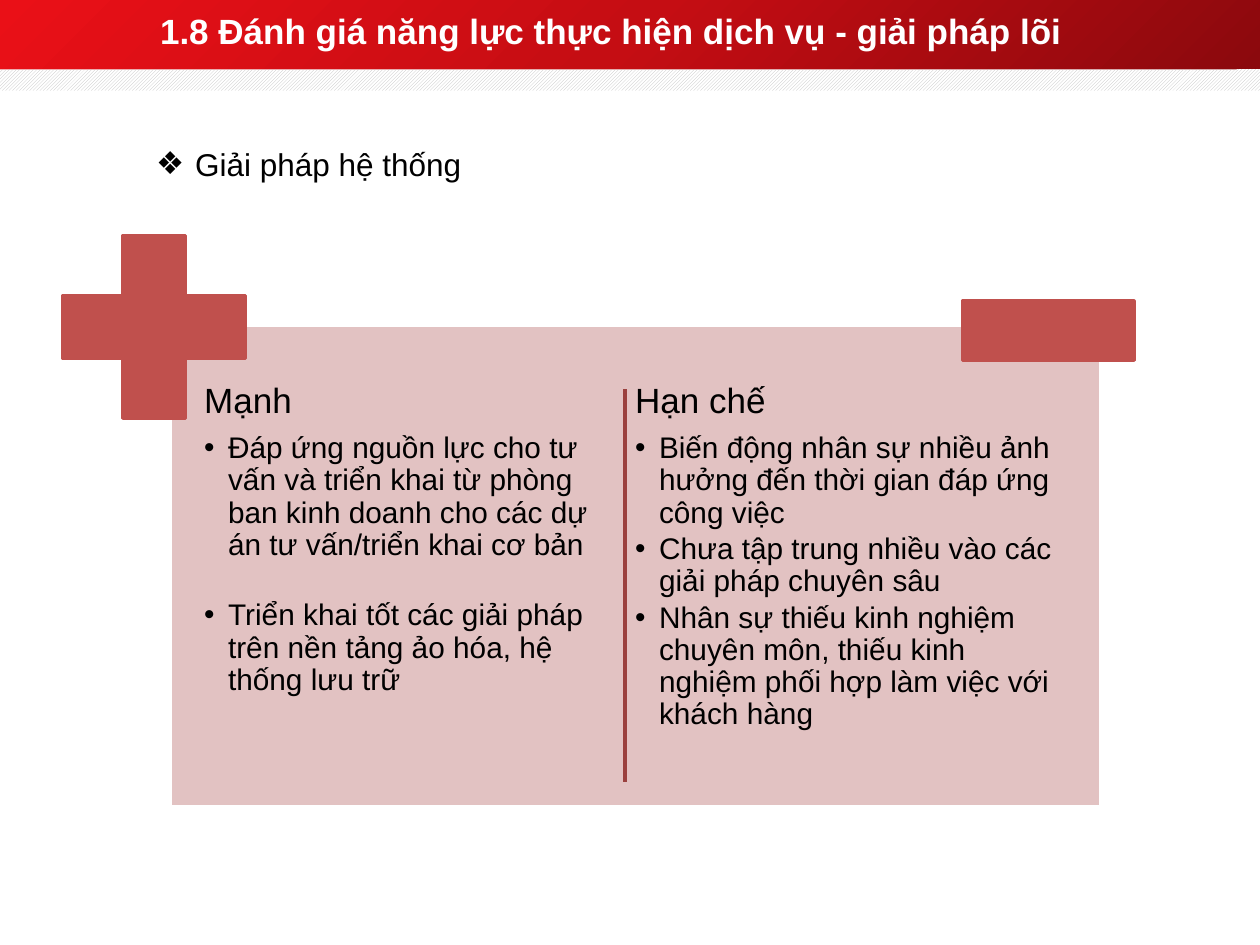
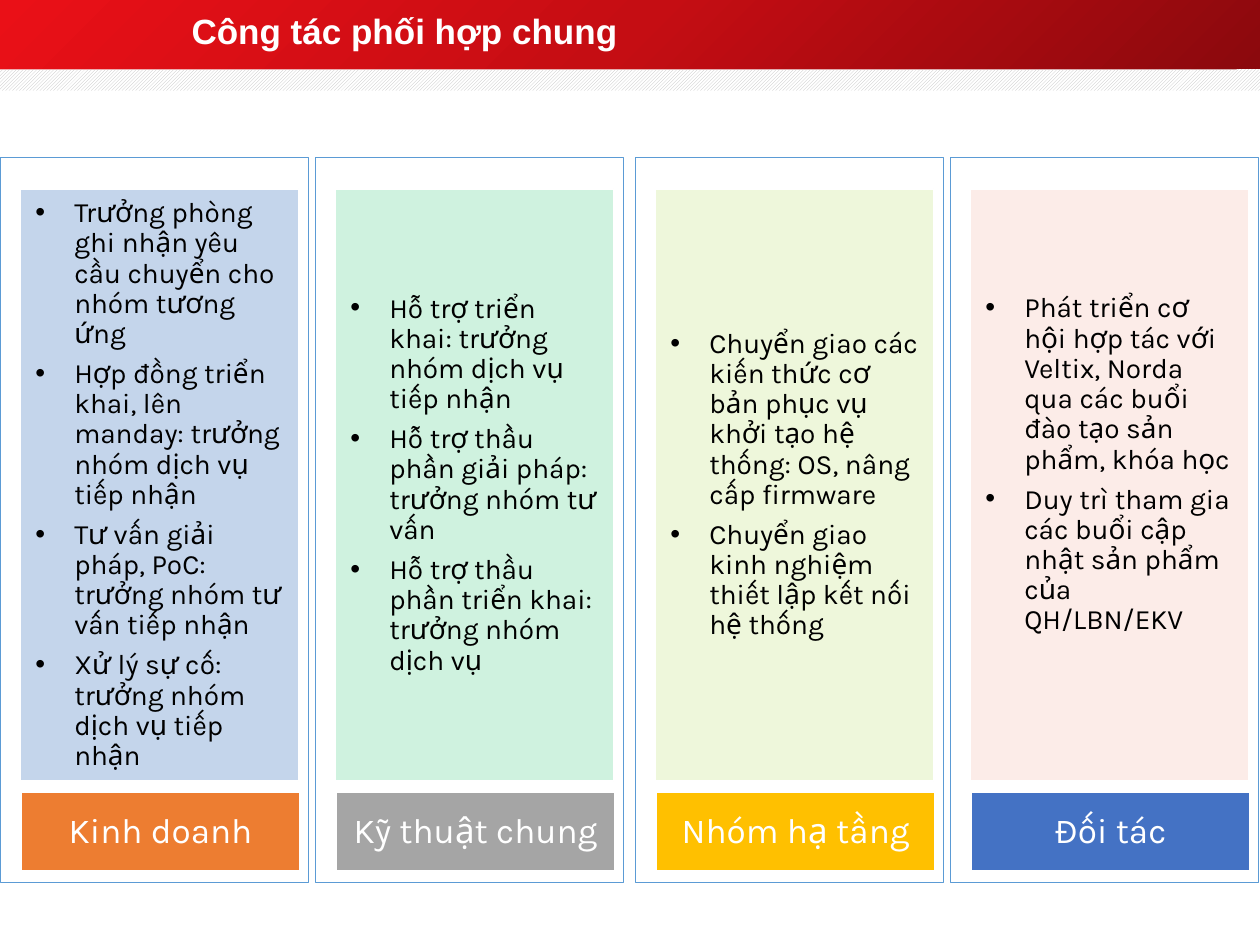
from copy import deepcopy

from pptx import Presentation
from pptx.dml.color import RGBColor
from pptx.enum.dml import MSO_PATTERN
from pptx.enum.shapes import MSO_CONNECTOR, MSO_SHAPE
from pptx.enum.text import MSO_ANCHOR, MSO_AUTO_SIZE, PP_ALIGN
from pptx.oxml.ns import qn
from pptx.util import Inches, Pt
from lxml import etree

RECT, PLUS = MSO_SHAPE.RECTANGLE, MSO_SHAPE.CROSS
STRAIGHT = MSO_CONNECTOR.STRAIGHT
HATCH = MSO_PATTERN.DARK_UPWARD_DIAGONAL
TOP, MIDDLE = MSO_ANCHOR.TOP, MSO_ANCHOR.MIDDLE
LEFT, CENTER = PP_ALIGN.LEFT, PP_ALIGN.CENTER
NO_FIT = MSO_AUTO_SIZE.NONE
TITLE_ONLY, TWO_CONTENT = 5, 3

COLOURS = {
    "white": "FFFFFF", "black": "000000", "hatch": "BFBFBF",
    "band_dark": "8B090D", "band_mid": "C50D13", "band_light": "EA1017",
    "panel": "E2C2C2", "sign": "C0504D", "divider": "9A403E", "frame": "5B9BD5",
    "orange": "ED7D31", "grey": "A5A5A5", "gold": "FFC000", "blue": "4472C4",
    "pale_blue": "C4D5EB", "pale_green": "CFF2DF",
    "pale_lime": "EEF7DB", "pale_pink": "FCECE8",
}
TITLE_FONT = {"name": "Arial", "size": Pt(20), "bold": True}
TOPIC_FONT = {"name": "Arial", "size": Pt(18)}
SIDE_FONT = {"name": "Arial", "size": Pt(20)}
POINT_FONT = {"name": "Arial", "size": Pt(17)}
LABEL_FONT = {"name": "Karla", "size": Pt(20)}
TASK_FONT = {"name": "Karla", "size": Pt(16)}
SIDE_SPACING = {"alignment": LEFT, "line_spacing": 0.9,
                "space_before": Pt(0), "space_after": Pt(7)}
POINT_SPACING = {**SIDE_SPACING, "space_after": Pt(2.5)}
WIDE_GAP = {**POINT_SPACING, "space_after": Pt(22)}
TASK_SPACING = {**SIDE_SPACING, "space_after": Pt(5.6)}
LABEL_SPACING = {**SIDE_SPACING, "alignment": CENTER}

STRENGTHS = ("Mạnh", [
    ("Đáp ứng nguồn lực cho tư vấn và triển khai từ phòng ban kinh doanh "
     "cho các dự án tư vấn/triển khai cơ bản", WIDE_GAP),
    ("Triển khai tốt các giải pháp trên nền tảng ảo hóa, hệ thống lưu trữ", POINT_SPACING),
])
LIMITS = ("Hạn chế", [
    ("Biến động nhân sự nhiều ảnh hưởng đến thời gian đáp ứng công việc", POINT_SPACING),
    ("Chưa tập trung nhiều vào các giải pháp chuyên sâu", POINT_SPACING),
    ("Nhân sự thiếu kinh nghiệm chuyên môn, thiếu kinh nghiệm phối hợp "
     "làm việc với khách hàng", POINT_SPACING),
])
TEAMS = [
    ("Kinh doanh", "orange", "pale_blue", 0.12, [
        "Trưởng phòng ghi nhận yêu cầu chuyển cho nhóm tương ứng",
        "Hợp đồng triển khai, lên manday: trưởng nhóm dịch vụ tiếp nhận",
        "Tư vấn giải pháp, PoC: trưởng nhóm tư vấn tiếp nhận",
        "Xử lý sự cố: trưởng nhóm dịch vụ tiếp nhận"]),
    ("Kỹ thuật chung", "grey", "pale_green", 0.12, [
        "Hỗ trợ triển khai: trưởng nhóm dịch vụ tiếp nhận",
        "Hỗ trợ thầu phần giải pháp: trưởng nhóm tư vấn",
        "Hỗ trợ thầu phần triển khai: trưởng nhóm dịch vụ"]),
    ("Nhóm hạ tầng", "gold", "pale_lime", 0.12, [
        "Chuyển giao các kiến thức cơ bản phục vụ khởi tạo hệ thống: OS, nâng cấp firmware",
        "Chuyển giao kinh nghiệm thiết lập kết nối hệ thống"]),
    ("Đối tác", "blue", "pale_pink", 0.44, [
        "Phát triển cơ hội hợp tác với Veltix, Norda qua các buổi đào tạo sản phẩm, khóa học",
        "Duy trì tham gia các buổi cập nhật sản phẩm của QH/LBN/EKV"]),
]


def colour(name):
    """Return the named palette colour."""
    return RGBColor.from_string(COLOURS[name])


def apply(target, values):
    """Set each attribute of the target from a dict."""
    for key, value in values.items():
        setattr(target, key, value)


def place(shape, left, top, width, height):
    """Move and size a shape, in inches."""
    apply(shape, {"left": Inches(left), "top": Inches(top),
                  "width": Inches(width), "height": Inches(height)})


def add_block(slide, kind, box, fill, line=None, line_width=1):
    """Add a flat preset shape."""
    block = slide.shapes.add_shape(kind, *map(Inches, box))
    block.shadow.inherit = False
    block.fill.solid()
    block.fill.fore_color.rgb = colour(fill)
    if line:
        block.line.color.rgb = colour(line)
        block.line.width = Pt(line_width)
    else:
        block.line.fill.background()
    return block


def set_frame(frame, inset, anchor, bottom=None):
    """Set insets, anchor and wrapping of a text frame."""
    apply(frame, {"margin_left": Inches(inset), "margin_right": Inches(inset),
                  "margin_top": Inches(inset), "margin_bottom": Inches(bottom or inset),
                  "vertical_anchor": anchor, "word_wrap": True, "auto_size": NO_FIT})


def write(frame, text, font, spacing, ink="black", bullet=None, indent=0.0):
    """Write text in the empty first paragraph or in a new one."""
    paragraph = frame.paragraphs[0]
    if paragraph.runs:
        paragraph = frame.add_paragraph()
    properties = paragraph._p.get_or_add_pPr()
    properties.set("marL", str(Inches(indent)))
    properties.set("indent", str(-Inches(indent)))
    if bullet:
        etree.SubElement(properties, qn("a:buFont")).set("typeface", "Arial")
        etree.SubElement(properties, qn("a:buChar")).set("char", bullet)
    else:
        etree.SubElement(properties, qn("a:buNone"))
    apply(paragraph, spacing)
    run = paragraph.add_run()
    run.text = text
    apply(run.font, font)
    run.font.color.rgb = colour(ink)


def add_master_bands(slide):
    """Build the header bands and hand them to the slide master."""
    header = add_block(slide, RECT, (0, 0, 10, 0.55), "band_mid")
    header.fill.gradient()
    header.fill.gradient_angle = 135
    stops = header.element.spPr.find(".//" + qn("a:gsLst"))
    stops.append(deepcopy(stops[0]))
    for stop, position, name in zip(header.fill.gradient_stops, (0, 0.5, 1),
                                    ("band_dark", "band_mid", "band_light")):
        stop.position = position
        stop.color.rgb = colour(name)
    hatching = add_block(slide, RECT, (0, 0.55, 10, 0.17), "white")
    hatching.fill.patterned()
    hatching.fill.pattern = HATCH
    hatching.fill.fore_color.rgb = colour("hatch")
    hatching.fill.back_color.rgb = colour("white")
    tree = slide.slide_layout.slide_master.shapes.element
    for order, band in enumerate((header, hatching)):
        band.element.nvSpPr.cNvPr.set("id", str(20 + order))
        tree.insert(2 + order, band.element)


def set_title(slide, text, left):
    """Place and write the slide title."""
    title = slide.shapes.title
    place(title, left, 0, 7.58, 0.48)
    apply(title.text_frame, {"vertical_anchor": MIDDLE, "auto_size": NO_FIT})
    write(title.text_frame, text, TITLE_FONT, {"alignment": LEFT}, "white")


def add_topic(slide, left, top):
    """Add the diamond-bulleted topic line."""
    topic = slide.shapes.add_textbox(Inches(left), Inches(top), Inches(2.65), Inches(0.4))
    topic.text_frame.word_wrap = False
    write(topic.text_frame, "Giải pháp hệ thống", TOPIC_FONT, {"alignment": LEFT},
          bullet="❖", indent=0.31)


def add_comparison(slide, left, top):
    """Add the strengths and limits panel with its plus and minus signs."""
    add_block(slide, RECT, (left, top, 7.39, 3.82), "panel", "white", 2)
    sides = list(slide.placeholders)[1:]
    for side, (heading, points), offset in zip(sides, (STRENGTHS, LIMITS), (0.23, 3.65)):
        slide.shapes.element.append(side.element)
        place(side, left + offset, top + 0.42, 3.43, 3.27)
        set_frame(side.text_frame, 0.04, TOP)
        write(side.text_frame, heading, SIDE_FONT, SIDE_SPACING)
        for point, spacing in points:
            write(side.text_frame, point, POINT_FONT, spacing, bullet="•", indent=0.19)
    plus = add_block(slide, PLUS, (left - 0.85, top - 0.71, 1.45, 1.45), "sign", "sign", 2)
    plus.adjustments[0] = 0.328
    add_block(slide, RECT, (left + 6.29, top - 0.19, 1.36, 0.47), "sign", "sign", 2)
    middle = Inches(left + 3.61)
    divider = slide.shapes.add_connector(STRAIGHT, middle, Inches(top + 0.51),
                                         middle, Inches(top + 3.63))
    divider.line.color.rgb = colour("divider")
    divider.line.width = Pt(2)
    etree.SubElement(divider.element.spPr, qn("a:effectLst"))


def add_team(slide, left, top, team):
    """Add one framed team column with its tasks and label."""
    name, label_fill, task_fill, bottom, tasks = team
    frame = add_block(slide, RECT, (left, top, 2.45, 5.75), "white", "frame", 0.5)
    white = frame.element.spPr.find(qn("a:solidFill"))[0]
    etree.SubElement(white, qn("a:alpha")).set("val", "40000")
    label = add_block(slide, RECT, (left + 0.17, top + 5.04, 2.21, 0.62), label_fill, "white")
    set_frame(label.text_frame, 0.12, MIDDLE)
    write(label.text_frame, name, LABEL_FONT, LABEL_SPACING, "white")
    duties = add_block(slide, RECT, (left + 0.16, top + 0.25, 2.21, 4.7), task_fill, "white")
    set_frame(duties.text_frame, 0.12, MIDDLE, bottom)
    for task in tasks:
        write(duties.text_frame, task, TASK_FONT, TASK_SPACING, bullet="•", indent=0.31)


def build_capability_slide(deck):
    """Build the slide that weighs strengths against limits."""
    slide = deck.slides.add_slide(deck.slide_layouts[TWO_CONTENT])
    add_master_bands(slide)
    set_title(slide, "1.8 Đánh giá năng lực thực hiện dịch vụ - giải pháp lõi", 1.17)
    add_comparison(slide, 1.35, 2.58)
    add_topic(slide, 1.14, 1.1)


def build_teamwork_slide(deck):
    """Build the slide with one column per team."""
    slide = deck.slides.add_slide(deck.slide_layouts[TITLE_ONLY])
    set_title(slide, "Công tác phối hợp chung", 1.42)
    for index, team in enumerate(TEAMS):
        add_team(slide, 2.5 * index + 0.04 * (index // 2), 1.25, team)


def main():
    """Build and save the deck."""
    deck = Presentation()
    deck.slide_width, deck.slide_height = Inches(10), Inches(7.5)
    build_capability_slide(deck)
    build_teamwork_slide(deck)
    deck.save("out.pptx")


if __name__ == "__main__":
    main()
